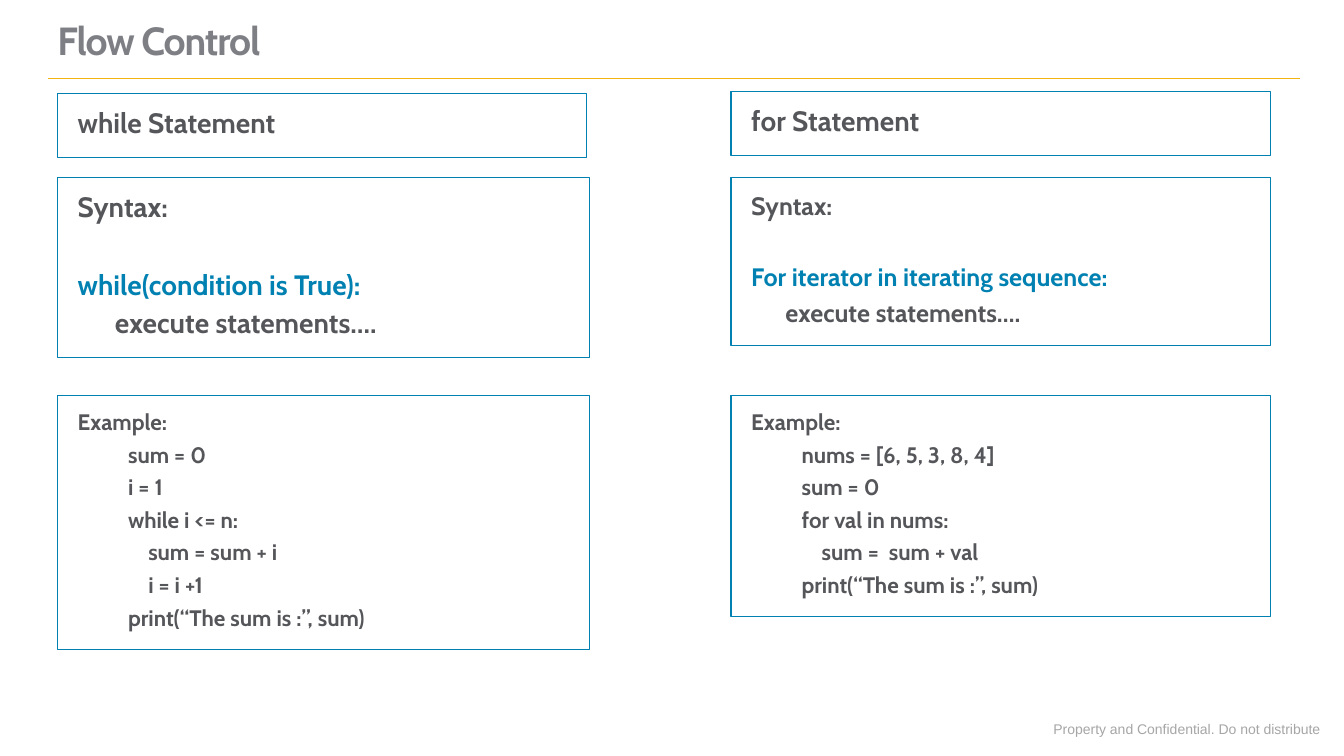
"""Build the Flow Control slide comparing while and for statements."""
from dataclasses import dataclass

from lxml import etree
from pptx import Presentation, util as u
from pptx.dml.color import RGBColor
from pptx.enum import shapes, text
from pptx.oxml.ns import qn

WIDE, HIGH = u.Inches(13.33), u.Inches(7.5)
HUES = {"title": "7E7F85", "body": "55565A", "blue": "0181B2",
        "gold": "F2B411", "foot": "A6A6A6"}


@dataclass(frozen=True)
class Line:
    """A line of text, with its indent in inches and gap above in points."""
    words: str
    indent: float = 0
    gap: float = 0
    hue: str = "body"


@dataclass(frozen=True)
class Panel:
    """A framed text panel, placed in percent of the slide."""
    left: float
    top: float
    width: float
    height: float
    size: int
    lines: tuple[Line, ...]


LEFT, RIGHT = 4.28, 54.39
NARROW, BROAD = 39.61, 40.14
MID, LOW = 23.47, 52.27
STEP, DEEP = 0.5, 0.7

PANELS = (
    Panel(LEFT, 12.4, 39.38, 8.4, 20, (Line("while Statement"),)),
    Panel(LEFT, MID, NARROW, 23.87, 20, (
        Line("Syntax:"),
        Line("while(condition is True):", gap=27.7, hue="blue"),
        Line("execute statements….", 0.37))),
    Panel(RIGHT, 12.13, BROAD, 8.4, 20, (Line("for Statement"),)),
    Panel(RIGHT, MID, BROAD, 22.27, 18, (
        Line("Syntax:"),
        Line("For iterator in iterating sequence:", gap=25.4, hue="blue"),
        Line("execute statements….", 0.34))),
    Panel(RIGHT, LOW, BROAD, 29.33, 16, (
        Line("Example:"),
        Line("nums = [6, 5, 3, 8, 4]", STEP),
        Line("sum = 0", STEP),
        Line("for val in nums:", STEP),
        Line("sum =  sum + val", DEEP),
        Line("print(“The sum is :”, sum)", STEP))),
    Panel(LEFT, LOW, NARROW, 33.6, 16, (
        Line("Example:"),
        Line("sum = 0", STEP),
        Line("i = 1", STEP),
        Line("while i <= n:", STEP),
        Line("sum = sum + i", DEEP),
        Line("i = i +1", DEEP),
        Line("print(“The sum is :”, sum)", STEP))),
)


def across(share: float) -> int:
    """Turn a percent of the slide's width into a length."""
    return round(WIDE * share / 100)


def down(share: float) -> int:
    """Turn a percent of the slide's height into a length."""
    return round(HIGH * share / 100)


def place(left: float, top: float, width: float, height: float) -> tuple[int, ...]:
    """Turn percents into a left, top, width and height."""
    return across(left), down(top), across(width), down(height)


def tint(hue: str) -> RGBColor:
    """Look up a named colour."""
    return RGBColor.from_string(HUES[hue])


def style(para, face: str, size: int, hue: str, bold: bool = False) -> None:
    """Set the font of a whole paragraph."""
    font = para.font
    font.name, font.size, font.bold = face, u.Pt(size), bold
    font.color.rgb = tint(hue)


def pad(frame, side: float, edge: float) -> None:
    """Set the insets of a text frame in inches."""
    frame.margin_left = frame.margin_right = u.Inches(side)
    frame.margin_top = frame.margin_bottom = u.Inches(edge)


def draw_panel(slide, panel: Panel) -> None:
    """Draw a framed panel and its lines of text."""
    box = slide.shapes.add_shape(
        shapes.MSO_SHAPE.RECTANGLE,
        *place(panel.left, panel.top, panel.width, panel.height))
    box.shadow.inherit = False
    box.fill.background()
    box.line.color.rgb = tint("blue")
    box.line.width = u.Pt(0.75)
    frame = box.text_frame
    frame.word_wrap = True
    frame.vertical_anchor = text.MSO_ANCHOR.TOP
    frame.auto_size = text.MSO_AUTO_SIZE.SHAPE_TO_FIT_TEXT
    pad(frame, 0.2, 0.16)
    for i, line in enumerate(panel.lines):
        para = frame.add_paragraph() if i else frame.paragraphs[0]
        para.text = line.words
        para.alignment = text.PP_ALIGN.LEFT
        para.line_spacing = 0.9
        para.space_before, para.space_after = u.Pt(line.gap), u.Pt(6)
        style(para, "Cabin", panel.size, line.hue, True)
        if line.indent:
            props = para._p.get_or_add_pPr()
            props.set("marL", str(u.Inches(line.indent)))
            props.set("indent", "0")


def draw_title(slide) -> None:
    """Draw the slide's heading."""
    frame = slide.shapes.add_textbox(*place(3.08, 0, 75.02, 9.73)).text_frame
    frame.word_wrap = True
    frame.vertical_anchor = text.MSO_ANCHOR.BOTTOM
    pad(frame, 0.16, 0.1)
    para = frame.paragraphs[0]
    para.text = "Flow Control"
    para.line_spacing = 0.9
    style(para, "Cabin", 28, "title", True)
    para.font._element.set("spc", "-80")


def draw_rule(slide) -> None:
    """Draw the gold rule under the heading."""
    rule = slide.shapes.add_connector(
        shapes.MSO_CONNECTOR.STRAIGHT,
        across(3.6), down(10.4), across(96.7), down(10.4))
    rule.line.color.rgb = tint("gold")
    rule.line.width = u.Pt(0.75)
    etree.SubElement(rule._element.spPr, qn("a:effectLst"))


def draw_foot(slide) -> None:
    """Draw the notice at the foot of the slide."""
    frame = slide.shapes.add_textbox(*place(77.64, 94.67, 21.53, 3.6)).text_frame
    frame.word_wrap = False
    frame.auto_size = text.MSO_AUTO_SIZE.SHAPE_TO_FIT_TEXT
    para = frame.paragraphs[0]
    para.text = "Property and Confidential. Do not distribute"
    style(para, "Arial", 10, "foot")


def main() -> None:
    """Build and save the deck."""
    deck = Presentation()
    deck.slide_width, deck.slide_height = WIDE, HIGH
    slide = deck.slides.add_slide(deck.slide_layouts[6])
    draw_foot(slide)
    draw_rule(slide)
    draw_title(slide)
    for panel in PANELS:
        draw_panel(slide, panel)
    deck.save("out.pptx")


if __name__ == "__main__":
    main()
